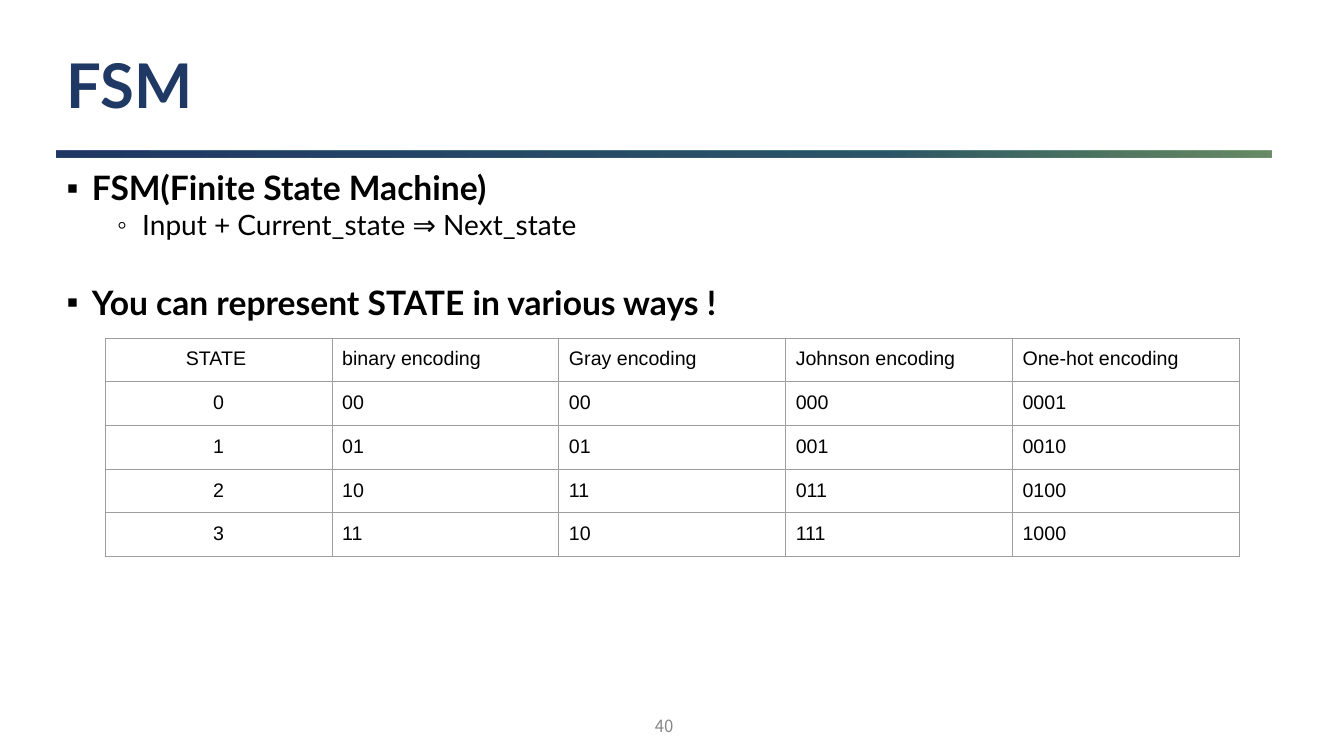
import pptx
import pptx.dml.color
import pptx.enum.shapes
import pptx.enum.text
import pptx.oxml
import pptx.oxml.ns
import pptx.util
from lxml import etree

Pt = pptx.util.Pt
RGBColor = pptx.dml.color.RGBColor
PP_ALIGN = pptx.enum.text.PP_ALIGN
MSO_ANCHOR = pptx.enum.text.MSO_ANCHOR
qn = pptx.oxml.ns.qn

NAVY = RGBColor(0x1F, 0x38, 0x64)
BLACK = RGBColor(0, 0, 0)
GRAY = RGBColor(0x88, 0x88, 0x88)
BORDER = RGBColor(0x9E, 0x9E, 0x9E)
BAR_LEFT = RGBColor(0x20, 0x38, 0x64)
BAR_MIDDLE = RGBColor(0x2D, 0x57, 0x68)
BAR_RIGHT = RGBColor(0x29, 0x5A, 0x26)


def add_run(paragraph, text, font, size, color, bold=False):
    run = paragraph.add_run()
    run.text = text
    run.font.name = font
    run.font.size = Pt(size)
    run.font.color.rgb = color
    run.font.bold = bold


def add_text_frame(left, top, width, height, anchor, inset):
    frame = slide.shapes.add_textbox(Pt(left), Pt(top), Pt(width), Pt(height)).text_frame
    frame.word_wrap = True
    frame.vertical_anchor = anchor
    frame.margin_top = frame.margin_bottom = Pt(inset)
    return frame


presentation = pptx.Presentation()
presentation.slide_width = Pt(960)
presentation.slide_height = Pt(540)
slide = presentation.slides.add_slide(presentation.slide_layouts[6])

# Gradient bar under the title
bar = slide.shapes.add_shape(
    pptx.enum.shapes.MSO_SHAPE.RECTANGLE, Pt(40.5), Pt(107.5), Pt(867.5), Pt(5.3))
bar.shadow.inherit = False
bar.line.fill.background()
bar.fill.gradient()
bar.fill.gradient_angle = 0
stops = bar.fill._fill._gradFill.find(qn("a:gsLst"))
for stop in list(stops):
    stops.remove(stop)
for position, color, opacity in [(0, BAR_LEFT, 100), (68, BAR_MIDDLE, 100), (100, BAR_RIGHT, 70)]:
    stop = etree.SubElement(stops, qn("a:gs"), pos=str(position * 1000))
    stop_color = etree.SubElement(stop, qn("a:srgbClr"), val=str(color))
    if opacity < 100:
        etree.SubElement(stop_color, qn("a:alpha"), val=str(opacity * 1000))

# Title
title = add_text_frame(40.5, 13.5, 867.5, 99.5, MSO_ANCHOR.MIDDLE, 0).paragraphs[0]
title.line_spacing = 0.9
add_run(title, "FSM", "Lato", 44, NAVY, True)

# Page number
number = add_text_frame(366.5, 500.5, 216, 28.8, MSO_ANCHOR.BOTTOM, 3.6).paragraphs[0]
number.alignment = PP_ALIGN.CENTER
add_run(number, "40", "Noto Sans CJK KR", 12, GRAY)

# Bulleted text: text, level, bullet, size, space before
bullets = [
    ("FSM(Finite State Machine)", 0, "▪", 24, 0),
    ("Input + Current_state ⇒ Next_state", 1, "◦", 20, 0),
    ("You can represent STATE in various ways !", 0, "▪", 24, 29),
]
body = add_text_frame(40.5, 116, 867.5, 368.5, MSO_ANCHOR.TOP, 3.6)
for index, (text, level, bullet, size, space) in enumerate(bullets):
    paragraph = body.add_paragraph() if index else body.paragraphs[0]
    paragraph.level = level
    paragraph.space_before = Pt(space)
    add_run(paragraph, text, "Lato", size, BLACK, level == 0)
    properties = paragraph._p.get_or_add_pPr()
    properties.set("marL", str(Pt(18 + 36 * level)))
    properties.set("indent", str(Pt(-18)))
    bullet_color = etree.SubElement(properties, qn("a:buClr"))
    etree.SubElement(bullet_color, qn("a:srgbClr"), val=str(BLACK))
    etree.SubElement(properties, qn("a:buFont"), typeface="Arial")
    etree.SubElement(properties, qn("a:buChar"), char=bullet)

# State encoding table
rows = [
    ("STATE ", "binary encoding", "Gray encoding", "Johnson encoding", "One-hot encoding"),
    ("0", "00", "00", "000", "0001"),
    ("1", "01", "01", "001", "0010"),
    ("2", "10", "11", "011", "0100"),
    ("3", "11", "10", "111", "1000"),
]
table = slide.shapes.add_table(
    len(rows), len(rows[0]), Pt(75.2), Pt(241.4), Pt(810), Pt(150)).table
table.first_row = False
table.horz_banding = False
for column in table.columns:
    column.width = Pt(162)
for row_index, row in enumerate(rows):
    table.rows[row_index].height = Pt(30)
    for column_index, text in enumerate(row):
        cell = table.cell(row_index, column_index)
        cell.margin_left = cell.margin_right = Pt(7.2)
        cell.margin_top = cell.margin_bottom = Pt(7.2)
        paragraph = cell.text_frame.paragraphs[0]
        paragraph.alignment = PP_ALIGN.LEFT if column_index else PP_ALIGN.CENTER
        add_run(paragraph, text, "Arial", 14, BLACK)
        properties = cell._tc.get_or_add_tcPr()
        for side in ("a:lnL", "a:lnR", "a:lnT", "a:lnB"):
            line = etree.SubElement(properties, qn(side), w=str(Pt(0.75)))
            line_fill = etree.SubElement(line, qn("a:solidFill"))
            etree.SubElement(line_fill, qn("a:srgbClr"), val=str(BORDER))
        cell.fill.background()

presentation.save("out.pptx")
